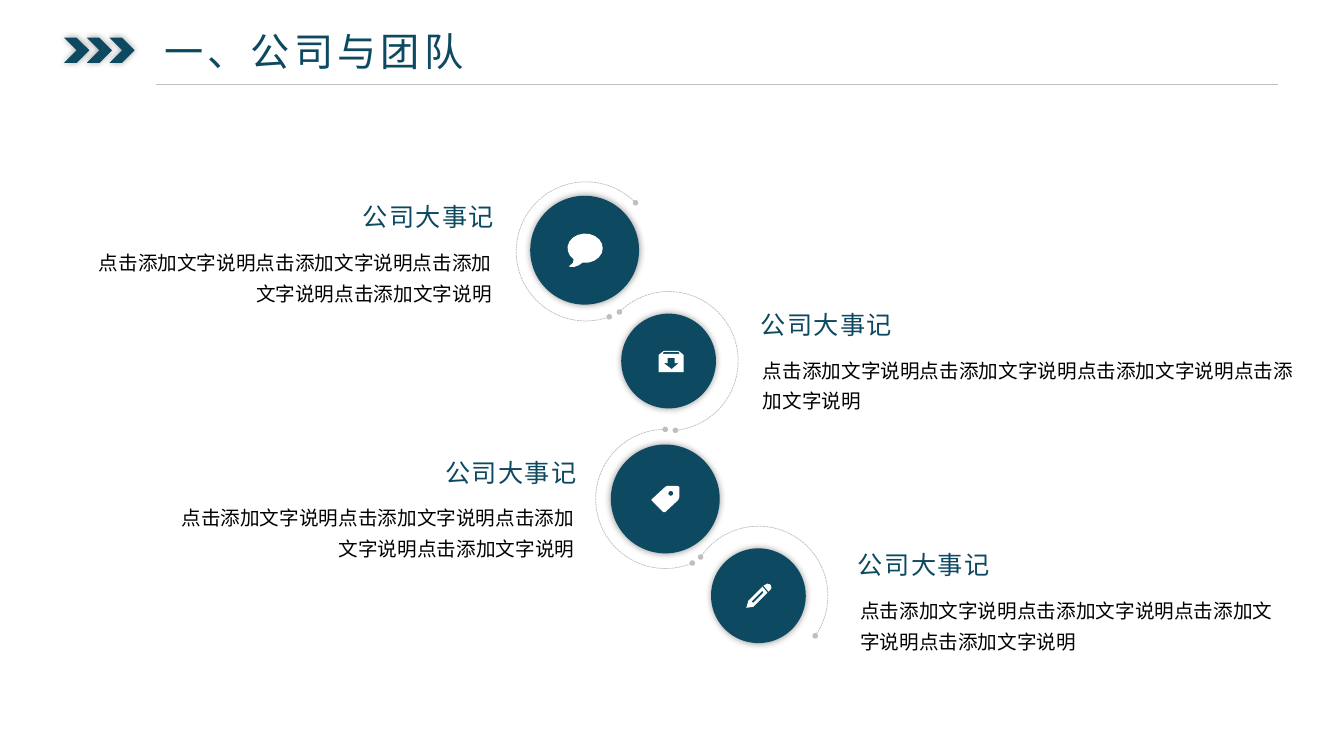
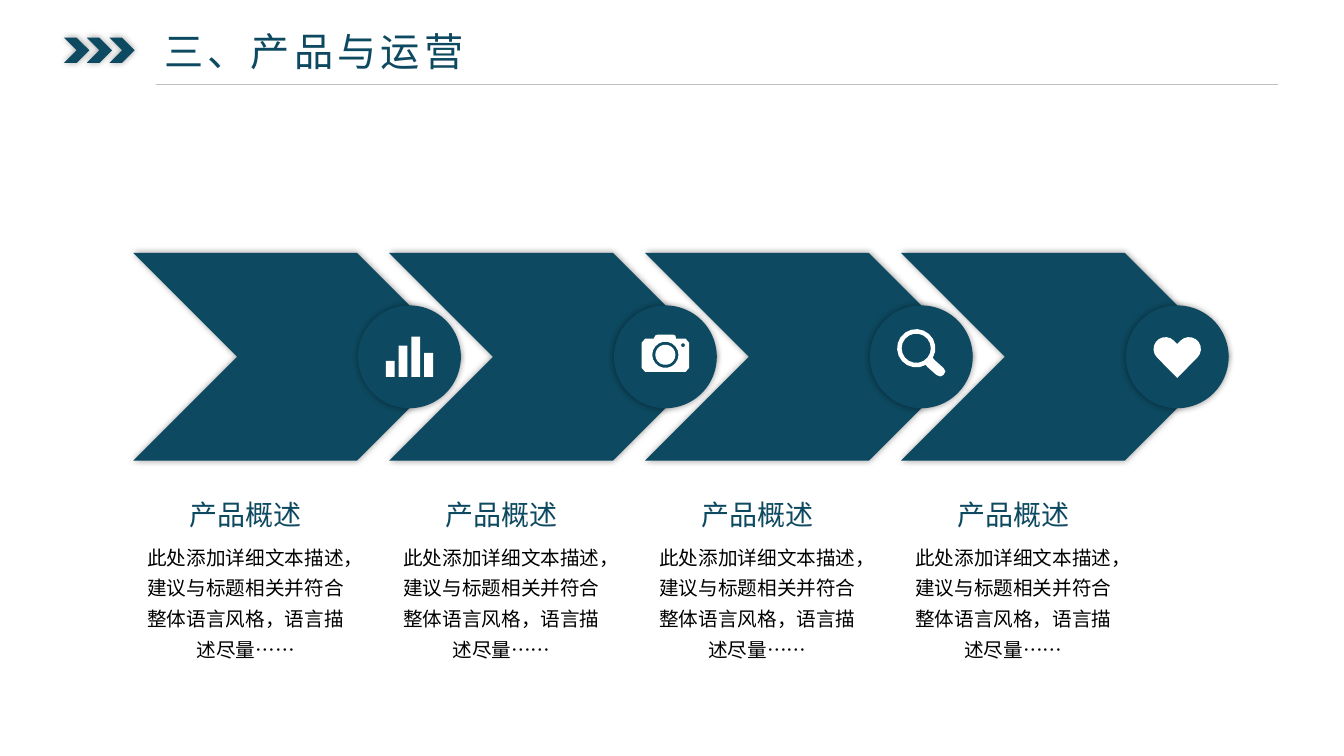
from collections import namedtuple
from math import ceil, cos, radians, sin

from lxml import etree
from pptx import Presentation
from pptx import util as u
from pptx.dml.color import RGBColor
from pptx.enum import dml, shapes, text
from pptx.oxml import ns

# Shared look
TEAL = RGBColor(0x0D, 0x49, 0x60)
RULE_GREY = RGBColor(0xBF, 0xBF, 0xBF)
BLACK = RGBColor(0, 0, 0)
WHITE = RGBColor(0xFF, 0xFF, 0xFF)
HEADING_FONT = "Noto Sans CJK JP"
BODY_FONT = "Noto Sans CJK SC"
LEFT, CENTER, RIGHT = (text.PP_ALIGN.LEFT, text.PP_ALIGN.CENTER,
                       text.PP_ALIGN.RIGHT)

# The slide is a square grid of tenth-inch cells
COLUMNS, ROWS = 133.33, 75
ADJ_PER_DEGREE = 0.6

TextStyle = namedtuple("TextStyle", "size font color tracking leading")
TITLE = TextStyle(28, HEADING_FONT, TEAL, 3, None)
STAGE_HEADING = TextStyle(18, HEADING_FONT, TEAL, 1, None)
STEP_HEADING = TextStyle(20, HEADING_FONT, TEAL, 0, None)
BODY = TextStyle(14, BODY_FONT, BLACK, 0, 1.3)

# First slide: disc centre and size, ring shift, rotation and start/end
# degrees, then the text's side, inner edge, top row and body width
Stage = namedtuple(
    "Stage", "x y disc shift turn start end align edge top width icon")
STAGES = [
    Stage(58, 24.82, 10.8, 0.12, 45.7, 270, 155.5,
          RIGHT, 50, 19.5, 42.9, "speech"),
    Stage(66.33, 35.82, 9.4, 0, 136.3, 231.86, 91.36,
          LEFT, 74.48, 30.18, 54.7, "archive"),
    Stage(66, 49.5, 10.8, 0, 0, 270, 112.87,
          RIGHT, 58.2, 44.83, 42.9, "tag"),
    Stage(75.24, 59.1, 9.4, 0, 125.2, 270, 91.36,
          LEFT, 84.13, 54.02, 44, "pencil"),
]
RING = 13.8
STAGE_TITLE = "公司大事记"
STAGE_BODY = "点击添加文字说明" * 4

# Second slide: equal steps
STEP_ICONS = ["bars", "camera", "magnifier", "heart"]
STEP_LEFT, STEP_PITCH = 13.22, 25.39
CHEVRON_W, CHEVRON_H, CHEVRON_TOP = 32.5, 20.6, 25.1
BADGE = 10.2
STEP_TITLE = "产品概述"
STEP_BODY = "此处添加详细文本描述，建议与标题相关并符合整体语言风格，语言描述尽量……"


def cells(count):
    return u.Inches(count / 10)


def box(left, top, width, height):
    return [cells(side) for side in (left, top, width, height)]


# Icon outlines, in cells from the centre of their disc
def arc(x, y, rx, ry=None, start=0, end=360, step=20):
    steps = ceil((end - start) / step)
    angles = [radians(start + (end - start) * i / steps)
              for i in range(steps + 1)]
    return [(x + rx * cos(a), y + (ry or rx) * sin(a)) for a in angles]


def bar(left, bottom, width, height):
    top = bottom - height
    return [(left, bottom), (left, top), (left + width, top),
            (left + width, bottom)]


ICONS = {
    "speech": [
        arc(0.05, -0.2, 1.75, 1.45, 130, 458)
        + [(-0.6, 1.5), (-1, 1.65), (-1.5, 1.65), (-1.5, 1.55),
           (-1.15, 1.25), (-1.1, 0.9)],
    ],
    "archive": [
        [(-0.5, -1), (1, -1), (1.5, -0.6), (1.5, 1.1), (-1, 1.1), (-1, -0.6)],
        [(0.3, 0.8), (-0.5, 0.2), (-0.1, 0.2), (-0.1, -0.3), (0.6, -0.3),
         (0.6, 0.2), (1, 0.2)],
        [(-0.6, -0.7), (-0.5, -0.9), (1, -0.9), (1.1, -0.7)],
    ],
    "tag": [
        [(1.2, -1.3), (0.2, -1.3), (0, -1.2), (-1.3, 0), (-1.4, 0.1),
         (-1.3, 0.2), (-0.2, 1.3), (0, 1.3), (1.3, 0.1), (1.4, -0.2),
         (1.4, -1.2)],
        arc(0.55, -0.55, 0.25, step=45),
    ],
    "pencil": [
        [(0.9, -1.2), (1.2, -1.1), (1.3, -0.8), (1.2, -0.6), (1, -0.4),
         (0.5, -1), (0.7, -1.1)],
        [(-1, 0.5), (-1.2, 1.2), (-0.5, 1.1), (0.9, -0.3), (0.4, -0.9)],
        [(0.5, -0.3), (-0.5, 0.7), (-0.7, 0.6), (0.4, -0.5)],
    ],
    "bars": [bar(-2.35 + 1.27 * i, 2, 0.88, height)
             for i, height in enumerate([1.6, 3.1, 4, 2.4])],
    "camera": [
        [(-2, -1.8), (-1.15, -1.8), (-1, -2.1), (-0.8, -2.2), (0.8, -2.2),
         (1, -2.1), (1.05, -1.8), (2, -1.8), (2.35, -1.4), (2.35, 1.1),
         (2, 1.5), (-2, 1.5), (-2.35, 1.1), (-2.35, -1.4)],
        arc(0, -0.2, 1.3),
        arc(0, -0.2, 1),
        arc(1.75, -1.15, 0.2, step=45),
    ],
    "magnifier": [
        arc(-0.5, -0.85, 1.9, start=60, end=390)
        + [(1.3, 0.3), (2.2, 1.1), (2.4, 1.45), (2.2, 1.8), (1.9, 1.95),
           (1.5, 1.8), (0.6, 1)],
        arc(-0.5, -0.85, 1.45),
    ],
    "heart": [
        arc(-1.17, -0.77, 1.18, start=135, end=315) + [(0, -1.27)]
        + arc(1.17, -0.77, 1.18, start=225, end=405) + [(0, 2.1)],
    ],
}


# Kinds of element
def add_text(slide, left, top, width, height, words, style, align=LEFT,
             margins=None):
    label = slide.shapes.add_textbox(*box(left, top, width, height))
    frame = label.text_frame
    frame.word_wrap = True
    frame.auto_size = text.MSO_AUTO_SIZE.SHAPE_TO_FIT_TEXT
    if margins:
        frame.margin_left = frame.margin_right = cells(margins[0])
        frame.margin_top = frame.margin_bottom = cells(margins[1])
    paragraph = frame.paragraphs[0]
    paragraph.alignment = align
    if style.leading:
        paragraph.line_spacing = style.leading
    run = paragraph.add_run()
    run.text = words
    run.font.size = u.Pt(style.size)
    run.font.color.rgb = style.color
    run.font.name = style.font
    props = run.font._element
    etree.SubElement(props, ns.qn("a:ea"), typeface=style.font)
    if style.tracking:
        props.set("spc", str(style.tracking * 100))


def add_solid(slide, kind, left, top, width, height):
    """Teal preset shape with a soft, centred shadow."""
    solid = slide.shapes.add_shape(kind, *box(left, top, width, height))
    solid.fill.solid()
    solid.fill.fore_color.rgb = TEAL
    solid.line.fill.background()
    solid.shadow.inherit = False
    effects = solid._element.spPr.find(ns.qn("a:effectLst"))
    glow = etree.SubElement(effects, ns.qn("a:outerShdw"), algn="ctr",
                            blurRad=str(u.Pt(5)), dist="0", dir="0",
                            rotWithShape="0")
    black = etree.SubElement(glow, ns.qn("a:srgbClr"), val="000000")
    etree.SubElement(black, ns.qn("a:alpha"), val="40000")


def add_disc(slide, x, y, size, icon):
    add_solid(slide, shapes.MSO_SHAPE.OVAL, x - size / 2, y - size / 2,
              size, size)
    builder = None
    for outline in ICONS[icon]:
        points = [(cells(x + dx), cells(y + dy)) for dx, dy in outline]
        if builder is None:
            builder = slide.shapes.build_freeform(*points[0])
        else:
            builder.move_to(*points[0])
        builder.add_line_segments(points[1:], close=True)
    glyph = builder.convert_to_shape()
    glyph.fill.solid()
    glyph.fill.fore_color.rgb = WHITE
    glyph.line.fill.background()
    glyph.shadow.inherit = False


def add_ring(slide, stage):
    """Dashed open ring with a small dot at each end."""
    corner = stage.shift - RING / 2
    ring = slide.shapes.add_shape(
        shapes.MSO_SHAPE.ARC,
        *box(stage.x + corner, stage.y + corner, RING, RING))
    ring.adjustments[0] = stage.start * ADJ_PER_DEGREE
    ring.adjustments[1] = stage.end * ADJ_PER_DEGREE
    ring.rotation = stage.turn
    ring._element.spPr.xfrm.set("flipH", "1")
    ring.fill.background()
    ring.shadow.inherit = False
    ring.line.color.rgb = RULE_GREY
    ring.line.width = u.Pt(0.5)
    ring.line.dash_style = dml.MSO_LINE.SQUARE_DOT
    outline = ring._element.spPr.find(ns.qn("a:ln"))
    for tip in ("a:headEnd", "a:tailEnd"):
        etree.SubElement(outline, ns.qn(tip), type="oval", w="sm", len="sm")


def add_titled_slide(deck, title):
    slide = deck.slides.add_slide(deck.slide_layouts[6])
    for i in range(3):
        add_solid(slide, shapes.MSO_SHAPE.CHEVRON, 6.36 + 2.25 * i, 3.74,
                  2.5, 2.5)
    add_text(slide, 15.5, 2.3, 58, 5.5, title, TITLE, margins=(0.8, 0.4))
    rule = slide.shapes.add_connector(
        shapes.MSO_CONNECTOR.STRAIGHT,
        cells(15.5), cells(8.35), cells(126.8), cells(8.35))
    rule.line.color.rgb = RULE_GREY
    rule.line.width = u.Pt(0.5)
    etree.SubElement(rule._element.spPr, ns.qn("a:effectLst"))
    return slide


# Content
def add_stage(slide, stage):
    add_ring(slide, stage)
    add_disc(slide, stage.x, stage.y, stage.disc, stage.icon)
    lines = [(STAGE_TITLE, STAGE_HEADING, 0, 0, 24, 4),
             (STAGE_BODY, BODY, 0.22, 4.2, stage.width, 7.1)]
    for words, style, gap, drop, width, height in lines:
        left = (stage.edge + gap if stage.align == LEFT
                else stage.edge - gap - width)
        add_text(slide, left, stage.top + drop, width, height, words, style,
                 stage.align)


def add_step(slide, left, icon):
    add_solid(slide, shapes.MSO_SHAPE.CHEVRON, left, CHEVRON_TOP,
              CHEVRON_W, CHEVRON_H)
    add_disc(slide, left + CHEVRON_W - BADGE / 2, CHEVRON_TOP + CHEVRON_H / 2,
             BADGE, icon)
    column = CHEVRON_W - BADGE
    add_text(slide, left, 52.96, column, 13.3, STEP_BODY, BODY, CENTER)
    add_text(slide, left, 48.9, column, 4.4, STEP_TITLE, STEP_HEADING, CENTER)


def main():
    deck = Presentation()
    deck.slide_width, deck.slide_height = cells(COLUMNS), cells(ROWS)

    company = add_titled_slide(deck, "一、公司与团队")
    for stage in STAGES:
        add_stage(company, stage)

    product = add_titled_slide(deck, "三、产品与运营")
    for i, icon in enumerate(STEP_ICONS):
        add_step(product, STEP_LEFT + STEP_PITCH * i, icon)

    deck.save("out.pptx")


if __name__ == "__main__":
    main()
